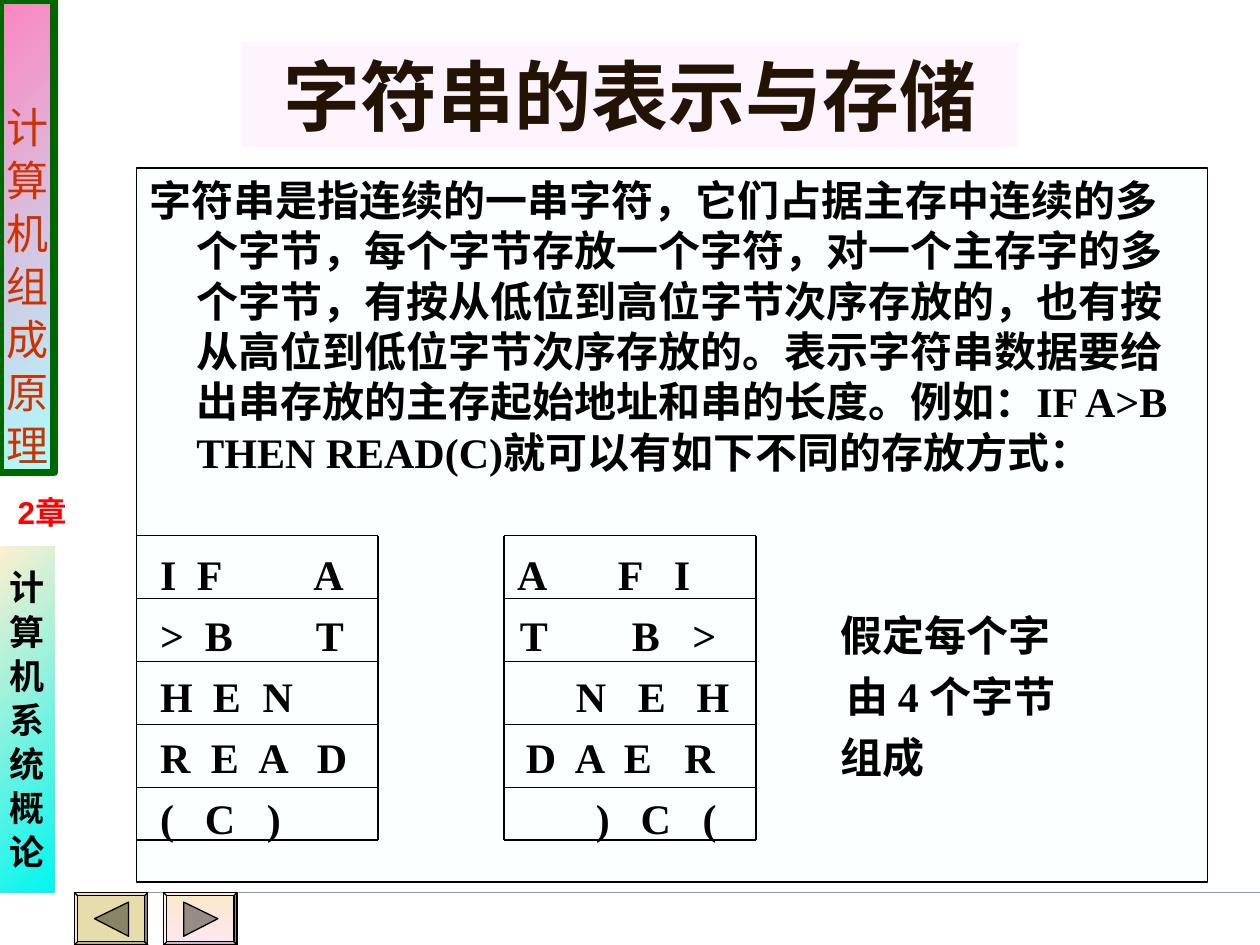
from lxml import etree
from pptx import Presentation
from pptx.dml.color import RGBColor
from pptx.enum.shapes import MSO_CONNECTOR, MSO_SHAPE
from pptx.enum.text import MSO_ANCHOR, MSO_AUTO_SIZE, PP_ALIGN
from pptx.oxml.ns import qn
from pptx.util import Pt

STRAIGHT = MSO_CONNECTOR.STRAIGHT
CENTER, LEFT = PP_ALIGN.CENTER, PP_ALIGN.LEFT
TOP, MIDDLE, BOTTOM = MSO_ANCHOR.TOP, MSO_ANCHOR.MIDDLE, MSO_ANCHOR.BOTTOM

BLACK = RGBColor(0x00, 0x00, 0x00)
RED = RGBColor(0xFF, 0x00, 0x00)
BRICK = RGBColor(0xCC, 0x33, 0x00)
GREEN = RGBColor(0x00, 0x66, 0x00)
SLATE = RGBColor(0x87, 0x99, 0xAE)
TITLE_INK = RGBColor(0x22, 0x13, 0x04)
TITLE_FILL = RGBColor(0xFE, 0xF4, 0xFD)
BODY_FILL = RGBColor(0xFB, 0xFF, 0xFF)
PINK, ICE = RGBColor(0xFD, 0x85, 0xC1), RGBColor(0xAD, 0xFF, 0xFF)
CREAM, CYAN = RGBColor(0xFF, 0xEF, 0xCF), RGBColor(0x00, 0xF6, 0xF0)
SAND, SAND_DARK = RGBColor(0xE6, 0xDC, 0xAC), RGBColor(0x8A, 0x84, 0x67)
PEACH, ROSE = RGBColor(0xFB, 0xEA, 0xC7), RGBColor(0xFE, 0xE7, 0xF2)
ROSE_DARK = RGBColor(0x97, 0x8C, 0x85)

TITLE = "字符串的表示与存储"
INTRO = (
    "字符串是指连续的一串字符，它们占据主存中连续的多个字节，每个字节存放一个字符，"
    "对一个主存字的多个字节，有按从低位到高位字节次序存放的，也有按从高位到低位字节次序存放的。"
    "表示字符串数据要给出串存放的主存起始地址和串的长度。"
    "例如：IF A>B THEN READ(C)就可以有如下不同的存放方式："
)
# Each row lists (tab position, text)
MEMORY_ROWS = [
    [(6.5, "I"), (27.5, "F"), (94, "A"), (210.5, "A"), (268, "F"), (300, "I")],
    [(6.5, ">"), (32, "B"), (95.5, "T"), (212, "T"), (276, "B"), (310.5, ">"),
     (395.5, "假定每个字")],
    [(6.5, "H"), (36.5, "E"), (65, "N"), (244, "N"), (279.5, "E"), (313, "H"),
     (398.5, "由 4 个字节")],
    [(6.5, "R"), (35.5, "E"), (62.5, "A"), (96, "D"), (215.5, "D"), (243.5, "A"),
     (271.5, "E"), (306, "R"), (395.5, "组成")],
    [(6.5, "("), (32, "C"), (67.5, ")"), (255.5, ")"), (281, "C"), (316.5, "(")],
]
GRID_COLUMNS = [(78, 216), (288, 432)]
GRID_TOP, GRID_BOTTOM, ROW_HEIGHT = 306, 480, 36

# text, top, height, gradient, border, size, colour, bold, gap, anchor
SIDEBARS = [
    ("计算机组成原理", 0, 270, (PINK, ICE), GREEN, 24, BRICK, False, 1.5, BOTTOM),
    ("计算机系统概论", 312, 198, (CREAM, CYAN), None, 20, BLACK, True, 1.2, MIDDLE),
]
# left, fill colours, arrow colour, points left
BUTTONS = [(42.5, (SAND,), SAND_DARK, True), (93.5, (PEACH, ROSE), ROSE_DARK, False)]


def place(shape, left, top, width, height):
    shape.left, shape.top = Pt(left), Pt(top)
    shape.width, shape.height = Pt(width), Pt(height)


def paint(shape, colors, border=None, weight=0.75, angle=315):
    """Fill with one colour or a two-colour gradient, and set the outline."""
    if len(colors) == 1:
        shape.fill.solid()
        shape.fill.fore_color.rgb = colors[0]
    else:
        shape.fill.gradient()
        shape.fill.gradient_angle = angle
        for stop, color in zip(shape.fill.gradient_stops, colors):
            stop.color.rgb = color
    if border is None:
        shape.line.fill.background()
    else:
        shape.line.color.rgb = border
        shape.line.width = Pt(weight)


def prepare(frame, anchor, wrap=True, inset=(7.2, 3.6)):
    frame.auto_size = MSO_AUTO_SIZE.NONE
    frame.word_wrap = wrap
    frame.vertical_anchor = anchor
    frame.margin_left = frame.margin_right = Pt(inset[0])
    frame.margin_top = frame.margin_bottom = Pt(inset[1])


def style(paragraph, font_name, size, color, bold=True, align=CENTER, before=0):
    paragraph.alignment = align
    paragraph.space_before = Pt(before)
    paragraph.line_spacing = 1.0
    font = paragraph.font
    font.name, font.size, font.bold = font_name, Pt(size), bold
    font.color.rgb = color


def add_line(page, x1, y1, x2, y2, color=BLACK):
    line = page.shapes.add_connector(STRAIGHT, Pt(x1), Pt(y1), Pt(x2), Pt(y2))
    line.line.color.rgb = color
    line.line.width = Pt(0.75)
    etree.SubElement(line._element.spPr, qn("a:effectLst"))


def add_sidebar(page, text, top, height, colors, border, size, color, bold, gap, anchor):
    bar = page.shapes.add_shape(MSO_SHAPE.RECTANGLE, 0, Pt(top), Pt(31), Pt(height))
    bar.shadow.inherit = False
    paint(bar, colors, border, 4.5)
    frame = bar.text_frame
    prepare(frame, anchor, wrap=False, inset=(0, 1.5))
    frame.text = "\n".join(text)
    for index, paragraph in enumerate(frame.paragraphs):
        style(paragraph, "Arial", size, color, bold, before=gap if index else 0)


def add_button(page, left, colors, arrow_color, points_left):
    button = page.shapes.add_shape(MSO_SHAPE.BEVEL, Pt(left), Pt(510), Pt(42), Pt(30))
    button.adjustments[0] = 0.06
    tip, base = (11.5, 31) if points_left else (31, 11.5)
    builder = page.shapes.build_freeform(Pt(left + tip), Pt(525))
    builder.add_line_segments([(Pt(left + base), Pt(515.5)), (Pt(left + base), Pt(535))])
    arrow = builder.convert_to_shape()
    for shape, fill in ((button, colors), (arrow, (arrow_color,))):
        shape.shadow.inherit = False
        paint(shape, fill, BLACK, angle=270)


def fill_title(title):
    place(title, 138, 24, 444, 60)
    paint(title, (TITLE_FILL,))
    prepare(title.text_frame, MIDDLE)
    title.text_frame.text = TITLE
    style(title.text_frame.paragraphs[0], "Times New Roman", 44, TITLE_INK)


def fill_body(body):
    place(body, 78, 96, 612, 408)
    paint(body, (BODY_FILL,), BLACK)
    prepare(body.text_frame, TOP)
    intro = body.text_frame.paragraphs[0]
    intro.text = INTRO
    properties = intro._p.get_or_add_pPr()
    properties.set("marL", str(Pt(27)))
    properties.set("indent", str(Pt(-27)))
    etree.SubElement(properties, qn("a:buNone"))
    style(intro, "Times New Roman", 24, BLACK, align=LEFT)


def add_memory_rows(page):
    """Write the rows in a plain text box, where no inherited indent overrides the tabs."""
    frame = page.shapes.add_textbox(Pt(78), Pt(310), Pt(612), Pt(180)).text_frame
    prepare(frame, TOP)
    for index, row in enumerate(MEMORY_ROWS):
        paragraph = frame.add_paragraph() if index else frame.paragraphs[0]
        paragraph.text = "".join("\t" + text for _, text in row)
        tabs = etree.SubElement(paragraph._p.get_or_add_pPr(), qn("a:tabLst"))
        for stop, _ in row:
            etree.SubElement(tabs, qn("a:tab"), pos=str(Pt(stop)), algn="l")
        style(paragraph, "Times New Roman", 24, BLACK, align=LEFT,
              before=6 if index else 0)


def main():
    deck = Presentation()
    deck.slide_width, deck.slide_height = Pt(720), Pt(540)
    page = deck.slides.add_slide(deck.slide_layouts[1])
    add_line(page, 48, 510, 720, 510, SLATE)
    for sidebar in SIDEBARS:
        add_sidebar(page, *sidebar)
    for button in BUTTONS:
        add_button(page, *button)

    chapter = page.shapes.add_textbox(0, Pt(278), Pt(48), Pt(29)).text_frame
    prepare(chapter, TOP)
    chapter.text = "2章"
    style(chapter.paragraphs[0], "Arial", 18, RED)

    fill_title(page.shapes.title)
    fill_body(page.placeholders[1])
    add_memory_rows(page)

    levels = [*range(GRID_TOP, GRID_BOTTOM, ROW_HEIGHT), GRID_BOTTOM]
    for left, right in GRID_COLUMNS:
        for level in levels:
            add_line(page, left, level, right, level)
        for side in (left, right):
            add_line(page, side, GRID_TOP, side, GRID_BOTTOM)
    deck.save("out.pptx")


if __name__ == "__main__":
    main()
